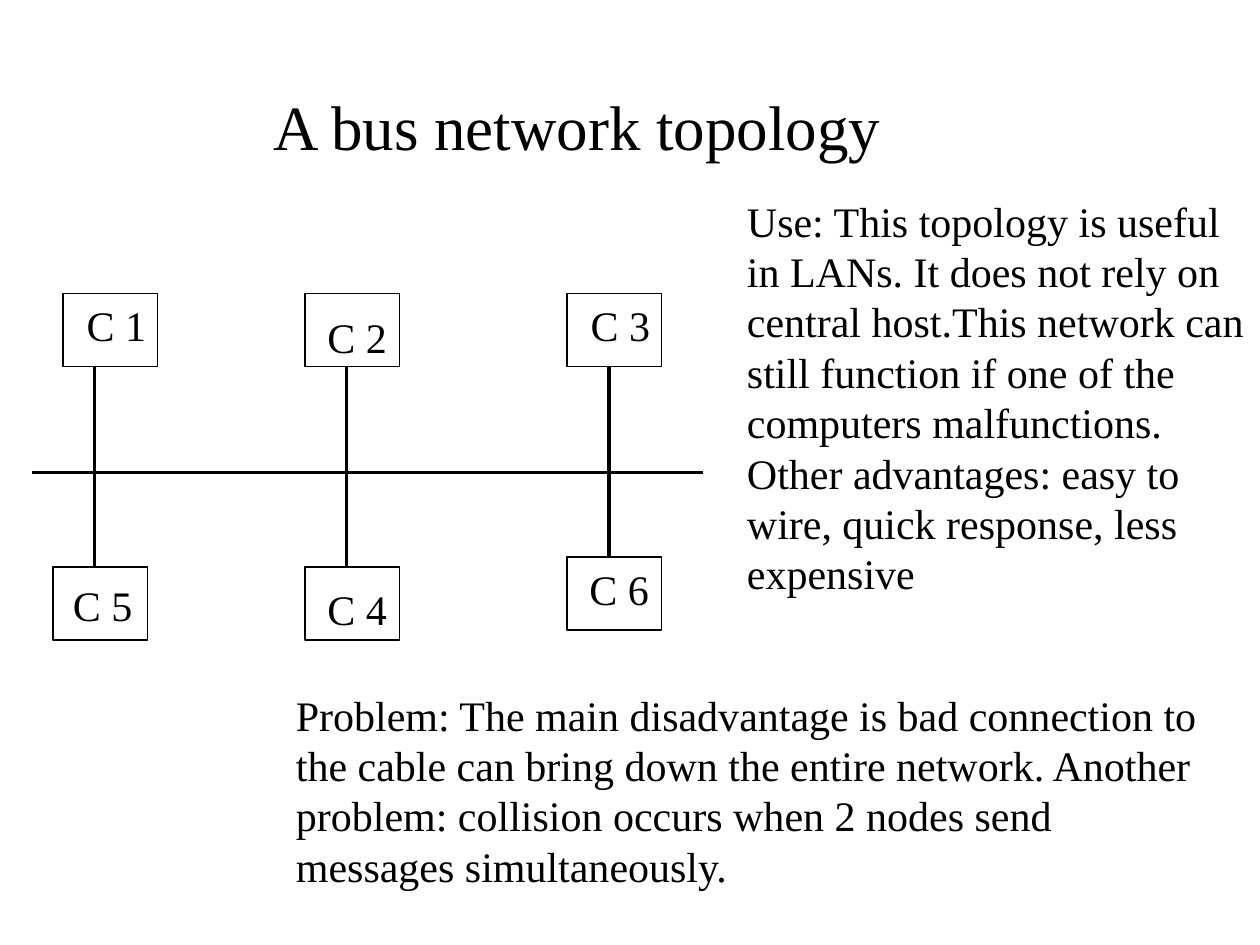
import pptx
import pptx.util
import pptx.dml.color
import pptx.enum.shapes
import pptx.enum.text
import pptx.oxml.ns
import lxml.etree
from dataclasses import dataclass

Inches = pptx.util.Inches
Pt = pptx.util.Pt


@dataclass(frozen=True)
class Theme:
    ink: pptx.dml.color.RGBColor = pptx.dml.color.RGBColor(0, 0, 0)
    font: str = "Times New Roman"
    title_size: int = 36
    body_size: int = 24
    box_line: float = 0.75
    cable_line: float = 2.25


THEME = Theme()
ALIGN = pptx.enum.text.PP_ALIGN
ANCHOR = pptx.enum.text.MSO_ANCHOR

ADVANTAGES = [
    "Use: This topology is useful",
    "in LANs. It does not rely on",
    "central host.This network can",
    "still function if one of the",
    "computers malfunctions.",
    "Other advantages: easy to",
    "wire, quick response, less",
    "expensive",
]
PROBLEM = (
    "Problem: The main disadvantage is bad connection to the cable can bring "
    "down the entire network. Another problem: collision occurs when 2 nodes "
    "send messages simultaneously."
)

# Computers: name, box corner, label corner (relative to the diagram)
COMPUTERS = [
    ("C 1", (0.25, 0), (0.34, 0)),
    ("C 2", (2.17, 0), (2.25, 0.09)),
    ("C 3", (4.25, 0), (4.34, 0)),
    ("C 4", (2.17, 2.17), (2.25, 2.25)),
    ("C 5", (0.17, 2.17), (0.23, 2.22)),
    ("C 6", (4.25, 2.09), (4.33, 2.09)),
]
BOX_SIZE = (0.75, 0.58)
LABEL_SIZE = (0.67, 0.5)
BUS_Y = 1.42
# Drops: x and lower end (relative to the diagram)
DROPS = [(0.5, 2.17), (2.5, 2.17), (4.58, 2.09)]


def add_text(page, box, lines, size=THEME.body_size, align=ALIGN.LEFT,
             anchor=ANCHOR.TOP, wrap=False):
    frame = page.shapes.add_textbox(*map(Inches, box)).text_frame
    frame_format = {"word_wrap": wrap, "vertical_anchor": anchor}
    for name, value in frame_format.items():
        setattr(frame, name, value)
    for index, line in enumerate(lines):
        para = frame.add_paragraph() if index else frame.paragraphs[0]
        para.alignment = align
        span = para.add_run()
        span.text = line
        span.font.color.rgb = THEME.ink
        for name, value in {"name": THEME.font, "size": Pt(size)}.items():
            setattr(span.font, name, value)


def add_computer_box(page, box):
    computer = page.shapes.add_shape(
        pptx.enum.shapes.MSO_SHAPE.RECTANGLE, *map(Inches, box))
    computer.shadow.inherit = False
    computer.fill.background()
    computer.line.color.rgb = THEME.ink
    computer.line.width = Pt(THEME.box_line)


def add_cable(page, start, end):
    cable = page.shapes.add_connector(
        pptx.enum.shapes.MSO_CONNECTOR.STRAIGHT, *map(Inches, start + end))
    cable.line.color.rgb = THEME.ink
    cable.line.width = Pt(THEME.cable_line)
    lxml.etree.SubElement(
        cable._element.spPr, pptx.oxml.ns.qn("a:effectLst"))


def add_title(page, box):
    add_text(page, box, ["A bus network topology"], size=THEME.title_size,
             align=ALIGN.CENTER, anchor=ANCHOR.MIDDLE, wrap=True)


def add_diagram(page, box):
    left, top, width, _ = box

    # Computers
    for name, (box_x, box_y), (label_x, label_y) in COMPUTERS:
        add_computer_box(page, (left + box_x, top + box_y, *BOX_SIZE))
        add_text(page, (left + label_x, top + label_y, *LABEL_SIZE), [name])

    # Shared bus and the drops that cross it
    add_cable(page, (left, top + BUS_Y), (left + width, top + BUS_Y))
    for x, bottom in DROPS:
        add_cable(page, (left + x, top + BOX_SIZE[1]),
                  (left + x, top + bottom))


def main():
    deck = pptx.Presentation()
    deck.slide_width, deck.slide_height = Inches(10), Inches(7.5)
    page = deck.slides.add_slide(deck.slide_layouts[6])

    add_title(page, (1.76, 0.76, 5.64, 0.47))
    add_diagram(page, (0.25, 2.33, 5.33, 2.75))

    # Advantages beside the diagram, problem below it
    add_text(page, (5.83, 1.5, 4.14, 3.3), ADVANTAGES)
    add_text(page, (2.25, 5.42, 7.52, 1.7), [PROBLEM], wrap=True)

    deck.save("out.pptx")


if __name__ == "__main__":
    main()
